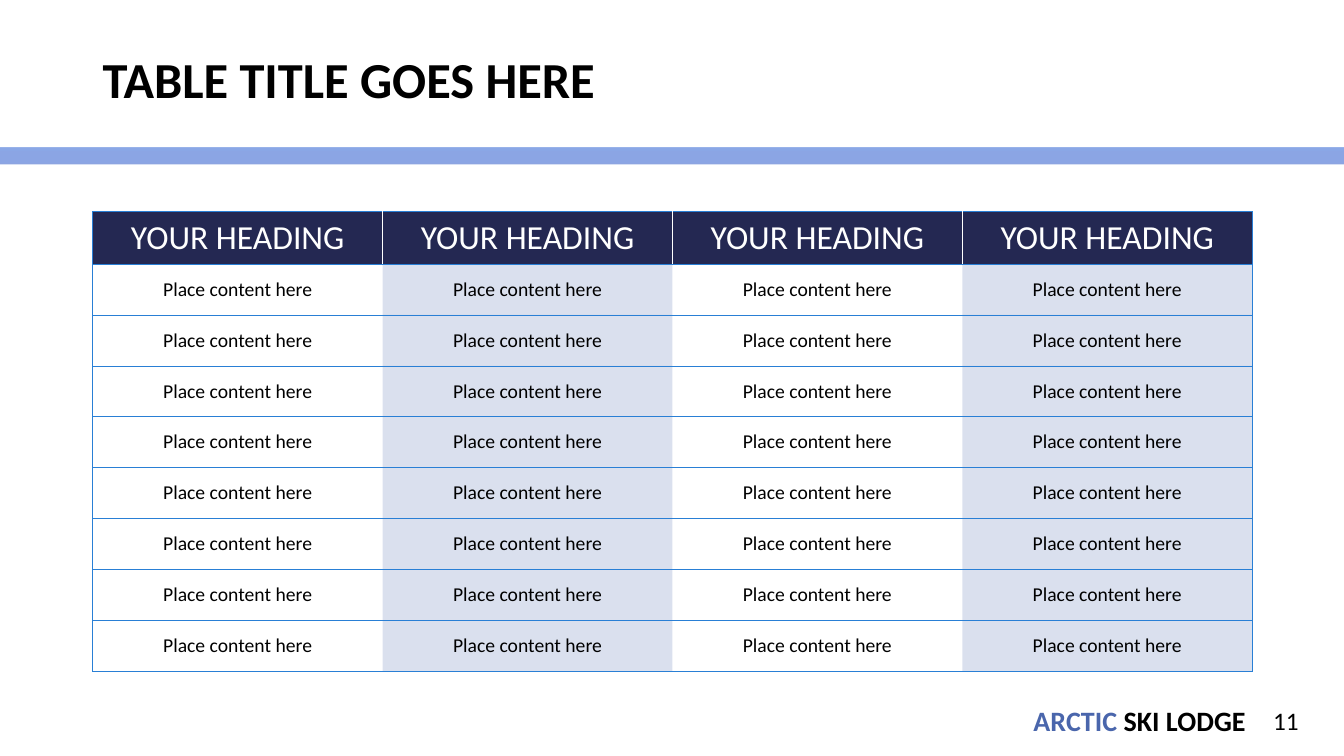
from lxml import etree
from pptx import Presentation
from pptx.dml.color import RGBColor
from pptx.enum.shapes import MSO_SHAPE
from pptx.enum.text import MSO_ANCHOR, PP_ALIGN
from pptx.oxml.ns import qn
from pptx.util import Inches, Pt

RECT = MSO_SHAPE.RECTANGLE
TOP, MIDDLE = MSO_ANCHOR.TOP, MSO_ANCHOR.MIDDLE
LEFT, CENTER, RIGHT = PP_ALIGN.LEFT, PP_ALIGN.CENTER, PP_ALIGN.RIGHT

FONT = "Calibri"
WIDE, HIGH = 13.33, 7.5
COLORS = {
    "white": "FFFFFF",
    "black": "000000",
    "navy": "242852",
    "brand": "4A66AC",
    "rule": "297FD5",
    "sky": "85B2F6",
    "lilac": "9297CF",
}
HEADS = ["YOUR HEADING"] * 4
ROWS = [["Place content here"] * 4] * 8


def color(name):
    return RGBColor.from_string(COLORS[name])


def write(frame, *runs, size, bold=False, align=LEFT, anchor=MIDDLE, space=None):
    frame.vertical_anchor = anchor
    line = frame.paragraphs[0]
    line.alignment = align
    line.line_spacing = space
    for text, ink in runs:
        run = line.add_run()
        run.text = text
        run.font.name = FONT
        run.font.size = Pt(size)
        run.font.bold = bold
        run.font.color.rgb = color(ink)


def add_box(slide, box, wrap=True, inset=None):
    frame = slide.shapes.add_textbox(*map(Inches, box)).text_frame
    frame.word_wrap = wrap
    if inset is not None:
        frame.margin_left = frame.margin_right = Inches(inset)
        frame.margin_top = frame.margin_bottom = Inches(inset)
    return frame


def add_edge(cell, side, ink=None, width=0.5):
    edge = etree.SubElement(cell._tc.get_or_add_tcPr(), qn("a:ln" + side))
    edge.set("w", str(Pt(width) if ink else 0))
    fill = etree.SubElement(edge, qn("a:solidFill" if ink else "a:noFill"))
    if ink:
        etree.SubElement(fill, qn("a:srgbClr")).set("val", COLORS[ink])


def fill_cell(cell, ink, alpha=None):
    cell.fill.solid()
    cell.fill.fore_color.rgb = color(ink)
    if alpha:
        tint = cell._tc.tcPr.find(".//" + qn("a:solidFill") + "[last()]")
        tint = cell._tc.tcPr.find(qn("a:solidFill")).find(qn("a:srgbClr"))
        etree.SubElement(tint, qn("a:alpha")).set("val", str(alpha * 1000))


def draw_back(slide, box, gap):
    left, top, width, height = box
    fill = slide.background.fill
    fill.gradient()
    fill.gradient_angle = 270
    for stop, ink, place in zip(fill.gradient_stops, ("sky", "lilac"), (0.06, 0.37)):
        stop.color.rgb = color(ink)
        stop.position = place
    start, end = gap
    for head, foot in ((top, start), (end, top + height)):
        panel = slide.shapes.add_shape(
            RECT, Inches(left), Inches(head), Inches(width), Inches(foot - head))
        panel.shadow.inherit = False
        panel.fill.solid()
        panel.fill.fore_color.rgb = color("white")
        panel.line.fill.background()


def draw_title(slide, box):
    write(add_box(slide, box), ("TABLE TITLE GOES HERE", "black"),
          size=36, bold=True, space=0.9)


def draw_table(slide, box, head):
    grid = [HEADS] + ROWS
    count = len(HEADS)
    table = slide.shapes.add_table(len(grid), count, *map(Inches, box)).table
    table.first_row = table.horz_banding = False
    for col in table.columns:
        col.width = Inches(box[2] / count)
    for r, texts in enumerate(grid):
        table.rows[r].height = Inches(head if r == 0 else (box[3] - head) / len(ROWS))
        for c, text in enumerate(texts):
            cell = table.cell(r, c)
            cell.margin_left = cell.margin_right = Inches(0.07)
            cell.margin_top = cell.margin_bottom = Inches(0.04)
            inner = ("white", 1) if r == 0 else ()
            outer = ("rule", 0.5)
            add_edge(cell, "L", *(outer if c == 0 else inner))
            add_edge(cell, "R", *(outer if c == count - 1 else inner))
            add_edge(cell, "T", *outer)
            add_edge(cell, "B", *outer)
            if r == 0:
                fill_cell(cell, "navy")
            elif c % 2:
                fill_cell(cell, "brand", alpha=20)
            else:
                cell.fill.background()
            write(cell.text_frame, (text, "black" if r else "white"),
                  size=14 if r else 24, align=CENTER)
            cell.vertical_anchor = MIDDLE


def draw_foot(slide, box):
    left, top, width, height = box
    name = add_box(slide, (left + 0.25, top + 0.01, 2.18, 0.38), wrap=False, inset=0.02)
    write(name, ("ARCTIC", "brand"), (" SKI LODGE", "black"), size=20, bold=True)
    write(add_box(slide, box), ("11", "black"), size=18, align=RIGHT, anchor=TOP)


def main():
    deck = Presentation()
    deck.slide_width, deck.slide_height = Inches(WIDE), Inches(HIGH)
    slide = deck.slides.add_slide(deck.slide_layouts[6])
    draw_back(slide, (0, 0, WIDE, HIGH), gap=(1.46, 1.63))
    draw_title(slide, (0.92, 0.47, 11.5, 0.7))
    draw_table(slide, (0.92, 2.1, 11.5, 4.56), head=0.52)
    draw_foot(slide, (9.98, 6.95, 3, 0.4))
    deck.save("out.pptx")


main()
